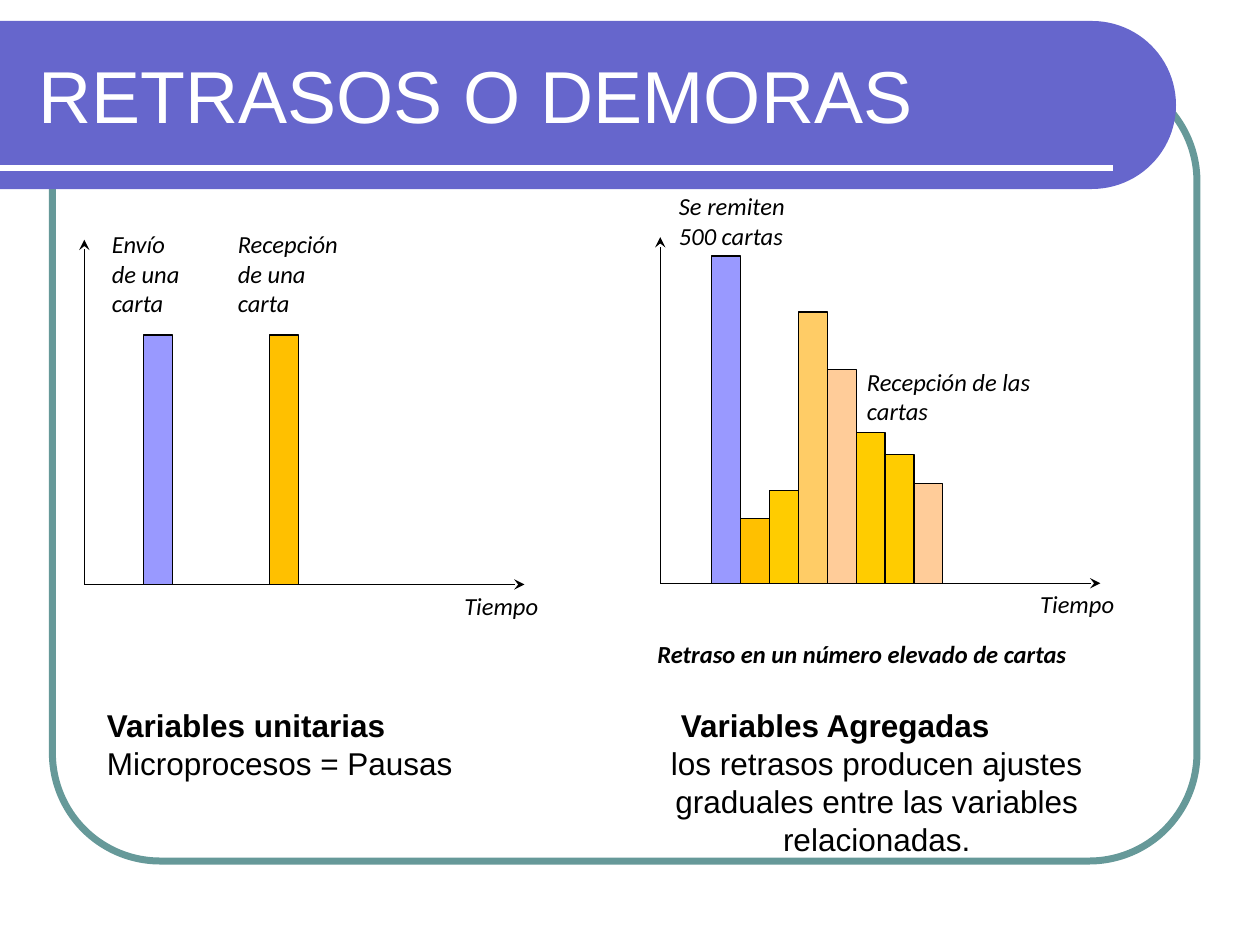
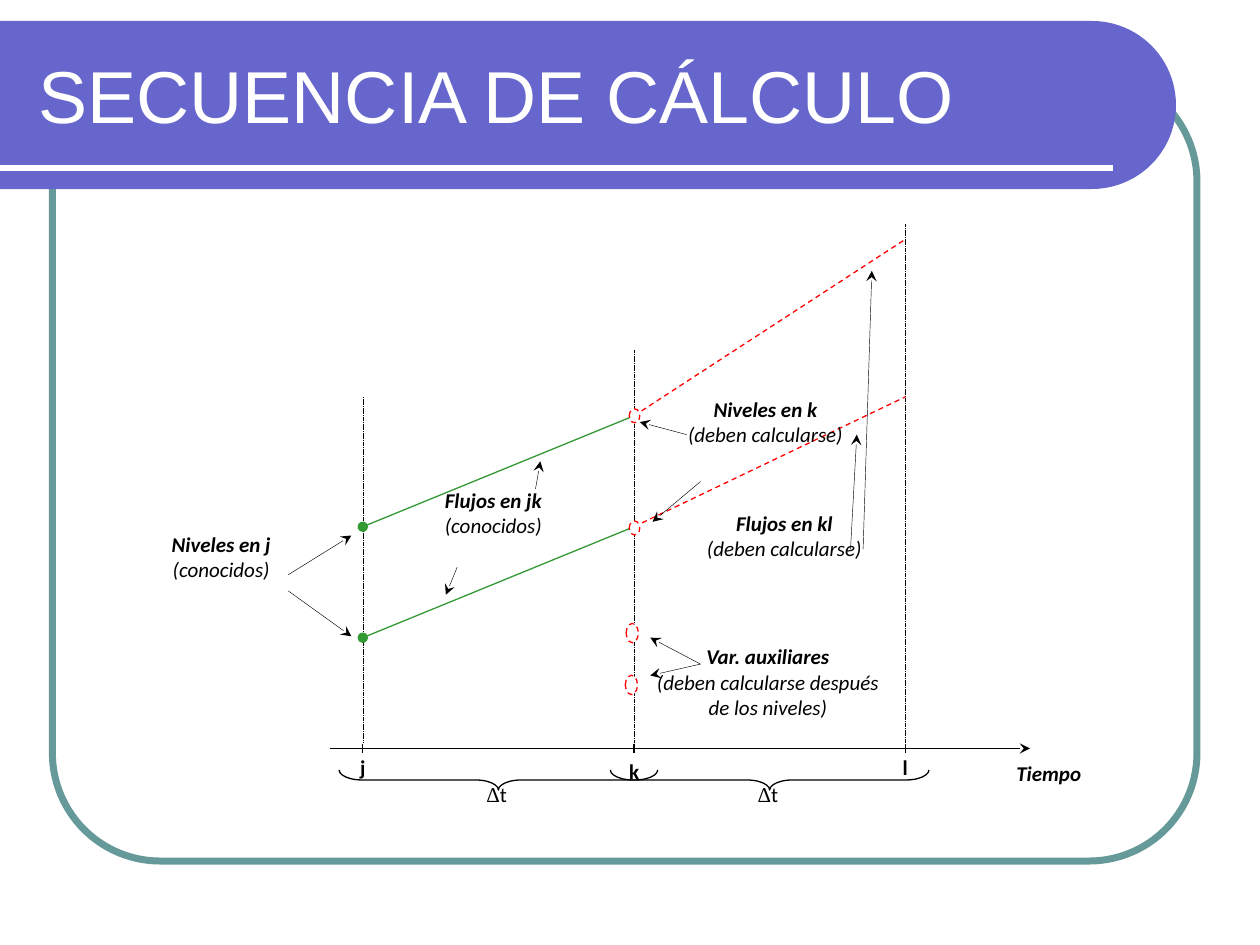
from math import cos, pi, sin

from lxml.etree import SubElement
from pptx import Presentation
from pptx.dml.color import RGBColor
from pptx.enum.dml import MSO_LINE
from pptx.enum.shapes import MSO_CONNECTOR, MSO_SHAPE
from pptx.enum.text import MSO_ANCHOR, MSO_AUTO_SIZE, PP_ALIGN
from pptx.oxml.ns import qn
from pptx.util import Pt

BLACK, WHITE, RED, GREEN = "000000", "FFFFFF", "FF0000", "339933"
BAND, FRAME = "6666CC", "669999"
SENT, AMBER, YELLOW, ORANGE, PEACH = "9999FF", "FFC000", "FFCC00", "FFCC66", "FFCC99"

TITLE_FORMAT = {"name": "Arial", "size": Pt(42)}
CAPTION = {"name": "Calibri", "size": Pt(14), "italic": True}
SUMMARY = {"name": "Arial", "size": Pt(18)}
MARK = {"name": "Calibri", "size": Pt(12)}
NAME = {**MARK, "bold": True, "italic": True}
NOTE = {**MARK, "italic": True}
BOLD = {"bold": True}


def colour(hex_value):
    return RGBColor.from_string(hex_value)


def set_all(target, values):
    for attribute, value in values.items():
        setattr(target, attribute, value)


def outline(line, hex_value, weight, dash=None):
    line.color.rgb = colour(hex_value)
    set_all(line, {"width": Pt(weight), "dash_style": dash})


def style_run(run, values, hex_value=BLACK):
    set_all(run.font, values)
    run.font.color.rgb = colour(hex_value)


def add_text(slide, box, paragraphs, align=PP_ALIGN.LEFT):
    frame = slide.shapes.add_textbox(*map(Pt, box)).text_frame
    frame.word_wrap = True
    for index, runs in enumerate(paragraphs):
        paragraph = frame.add_paragraph() if index else frame.paragraphs[0]
        paragraph.alignment = align
        for text, values in runs:
            run = paragraph.add_run()
            run.text = text
            style_run(run, values)
    return frame


def add_line(slide, start, end, weight, hex_value=BLACK, dash=None, head=None, tail=None):
    connector = slide.shapes.add_connector(
        MSO_CONNECTOR.STRAIGHT, *map(Pt, (*start, *end)))
    outline(connector.line, hex_value, weight, dash)
    properties = connector._element.spPr
    for tag, kind in (("a:headEnd", head), ("a:tailEnd", tail)):
        if kind:
            SubElement(properties.find(qn("a:ln")), qn(tag), type=kind)
    SubElement(properties, qn("a:effectLst"))
    return connector


def add_figure(slide, preset, box, fill, line, weight, dash=None):
    figure = slide.shapes.add_shape(preset, *map(Pt, box))
    figure.shadow.inherit = False
    if fill:
        figure.fill.solid()
        figure.fill.fore_color.rgb = colour(fill)
    else:
        figure.fill.background()
    outline(figure.line, line, weight, dash)
    return figure


def draw_template(layout, slide):
    frame = add_figure(slide, MSO_SHAPE.ROUNDED_RECTANGLE, (30, 42, 654, 450),
                       None, FRAME, 4)
    frame.adjustments[0] = 0.137

    top, radius, arc_left, steps = 12, 48, 624, 48
    arc = [(Pt(arc_left + radius * sin(pi * i / steps)),
            Pt(top + radius - radius * cos(pi * i / steps))) for i in range(steps + 1)]
    builder = slide.shapes.build_freeform(0, Pt(top))
    builder.add_line_segments([*arc, (0, Pt(top + 2 * radius))], close=True)
    band = builder.convert_to_shape()
    band.shadow.inherit = False
    band.fill.solid()
    band.fill.fore_color.rgb = colour(BAND)
    band.line.fill.background()

    rule = add_line(slide, (0, 96), (636, 96), 3, WHITE)
    for position, part in enumerate((frame, band, rule), start=2):
        layout.shapes._spTree.insert(position, part._element)
    set_all(layout.placeholders[0], {
        "left": Pt(15), "top": Pt(18), "width": Pt(632), "height": Pt(72)})


def set_title(slide, text):
    frame = slide.shapes.title.text_frame
    frame.text = text
    set_all(frame, {"vertical_anchor": MSO_ANCHOR.MIDDLE,
                    "auto_size": MSO_AUTO_SIZE.NONE, "word_wrap": True})
    frame.paragraphs[0].alignment = PP_ALIGN.LEFT
    style_run(frame.paragraphs[0].runs[0], TITLE_FORMAT, WHITE)


def draw_bar_panel(slide, box, bars, captions):
    left, top, width, height = box
    base = top + height
    for offset, bar_height, fill in bars:
        add_figure(slide, MSO_SHAPE.RECTANGLE,
                   (left + offset, base - bar_height, 16.5, bar_height),
                   fill, BLACK, 0.75)
    for end in ((left, top), (left + width, base)):
        add_line(slide, (left, base), end, 0.5, tail="stealth")
    add_text(slide, (left + 210, base, 79, 30), [[("Tiempo", CAPTION)]])
    for text, dx, dy, caption_width, extra in captions:
        add_text(slide, (left + dx, top + dy, caption_width, 36),
                 [[(text, {**CAPTION, **extra})]])


def draw_summaries(slide, box):
    left, top, width, height = box
    heading = {**SUMMARY, **BOLD}
    add_text(slide, (left, top, 270, height), [
        [("Variables unitarias", heading)],
        [("Microprocesos = Pausas", SUMMARY)]])
    aggregate_width = 260
    aggregate = add_text(
        slide, (left + width - aggregate_width, top, aggregate_width, height), [
            [("Variables Agregadas", heading)],
            [("los retrasos producen ajustes graduales entre las variables "
              "relacionadas.", SUMMARY)]], PP_ALIGN.CENTER)
    first = aggregate.paragraphs[0]
    first.alignment = PP_ALIGN.LEFT
    first._p.get_or_add_pPr().set("marL", str(Pt(11)))


def build_delays(slide):
    set_title(slide, "RETRASOS O DEMORAS")
    draw_bar_panel(
        slide, (48.2, 137, 251.5, 197),
        [(34, 142.5, SENT), (106, 142.5, AMBER)],
        [("Envío de una carta", 8.6, -9.5, 53, {}),
         ("Recepción de una carta", 80.6, -9.5, 73, {})])
    received = [(187, SENT), (37, AMBER), (53, YELLOW), (155, ORANGE),
                (122, PEACH), (86, YELLOW), (73.5, YELLOW), (57, PEACH)]
    draw_bar_panel(
        slide, (377.3, 135.5, 251.5, 197.8),
        [(29.5 + 16.5 * i, tall, fill) for i, (tall, fill) in enumerate(received)],
        [("Se remiten 500 cartas", 3.6, -29.6, 81, {}),
         ("Recepción de las cartas", 111, 70.5, 143, {}),
         ("Retraso en un número elevado de cartas", -8.7, 226, 269, BOLD)])
    draw_summaries(slide, (54, 400, 577, 117))


def draw_timeline(slide, box, instants):
    left, top, width, height = box
    axis = top + height
    add_line(slide, (left, axis), (left + width, axis), 0.75, tail="stealth")
    for (name, x), guide_top, drop in zip(instants.items(), (98.6, 72, 0), (0, 2, 0)):
        add_line(slide, (left + x, axis - 2.7), (left + x, axis + 2.7), 0.75)
        add_line(slide, (left + x, top + guide_top), (left + x, axis - 3), 0.25,
                 dash=MSO_LINE.SQUARE_DOT)
        add_text(slide, (left + x - 19, axis + drop, 38, 36),
                 [[(name, {**MARK, **BOLD})]], PP_ALIGN.CENTER)
    add_text(slide, (left + 378.7, axis + 3.5, 64, 36), [[("Tiempo", NAME)]],
             PP_ALIGN.CENTER)

    places = list(instants.values())
    thickness, length = 11.5, 182
    for start, end in zip(places, places[1:]):
        middle = left + (start + end) / 2
        brace = add_figure(
            slide, MSO_SHAPE.LEFT_BRACE,
            (middle - thickness / 2, axis + 18 - length / 2, thickness, length),
            None, BLACK, 0.75)
        brace.adjustments[0] = 1.135
        brace.rotation = 270
        add_text(slide, (middle - 33, axis + 15.5, 64, 36),
                 [[("Δ", {**MARK, "name": "Times New Roman"}), ("t", MARK)]],
                 PP_ALIGN.CENTER)


def draw_trends(slide, box, instants):
    left, top = box[:2]
    j, k, l = (left + x for x in instants.values())
    for at_j, at_k, at_l in ((172.8, 109.4, 8.6), (236.2, 172.8, 98.6)):
        add_line(slide, (j, top + at_j), (k, top + at_k), 0.75, GREEN, head="oval")
        add_line(slide, (k, top + at_k), (l, top + at_l), 0.75, RED, MSO_LINE.DASH)
    for y, wide, tall, shift in ((109.4, 6, 8, 0.3), (173.5, 6, 8, 0.3),
                                 (233.6, 7, 11, -1), (263.2, 7, 11, -1.5)):
        add_figure(slide, MSO_SHAPE.OVAL,
                   (k + shift - wide / 2, top + y - tall / 2, wide, tall),
                   WHITE, RED, 0.75, MSO_LINE.DASH)


def draw_explanations(slide, box):
    left, top = box[:2]
    explanations = [
        ("Niveles en j", "(conocidos)", -115.2, 172, 106),
        ("Flujos en jk", "(conocidos)", 40.3, 147, 106),
        ("Niveles en k", "(deben calcularse)", 193, 95, 111.6),
        ("Flujos en kl", "(deben calcularse)", 203.8, 160, 111.6),
        ("Var. auxiliares", "(deben calcularse después de los niveles)",
         172.8, 236.2, 154.8)]
    for name, note, dx, dy, width in explanations:
        add_text(slide, (left + dx, top + dy, width, 65),
                 [[(name, NAME)], [(note, NOTE)]], PP_ALIGN.CENTER)
    pointers = [
        (-23.8, 200.2, 12.2, 177.8), (-23.8, 209.5, 12.2, 235.4),
        (117.4, 151.2, 120.2, 135.4), (72.7, 195.8, 66.2, 211.7),
        (297.4, 185.8, 301, 120.2), (304.6, 185.8, 309.6, 26.6),
        (203.8, 120.2, 177, 113), (211.7, 147, 184.3, 170),
        (211.7, 251.3, 183, 236.2), (211.7, 251.3, 183, 257.8)]
    for x1, y1, x2, y2 in pointers:
        add_line(slide, (left + x1, top + y1), (left + x2, top + y2), 0.25,
                 tail="stealth")


def build_sequence(slide):
    set_title(slide, "SECUENCIA DE CÁLCULO")
    diagram = (188.6, 128.2, 400, 299.5)
    instants = {name: 18.7 + 155 * i for i, name in enumerate("jkl")}
    draw_timeline(slide, diagram, instants)
    draw_trends(slide, diagram, instants)
    draw_explanations(slide, diagram)


def main():
    presentation = Presentation()
    set_all(presentation, {"slide_width": Pt(720), "slide_height": Pt(540)})
    layout = presentation.slide_layouts[5]
    delays, sequence = (presentation.slides.add_slide(layout) for _ in range(2))
    draw_template(layout, delays)
    build_delays(delays)
    build_sequence(sequence)
    presentation.save("out.pptx")


if __name__ == "__main__":
    main()
